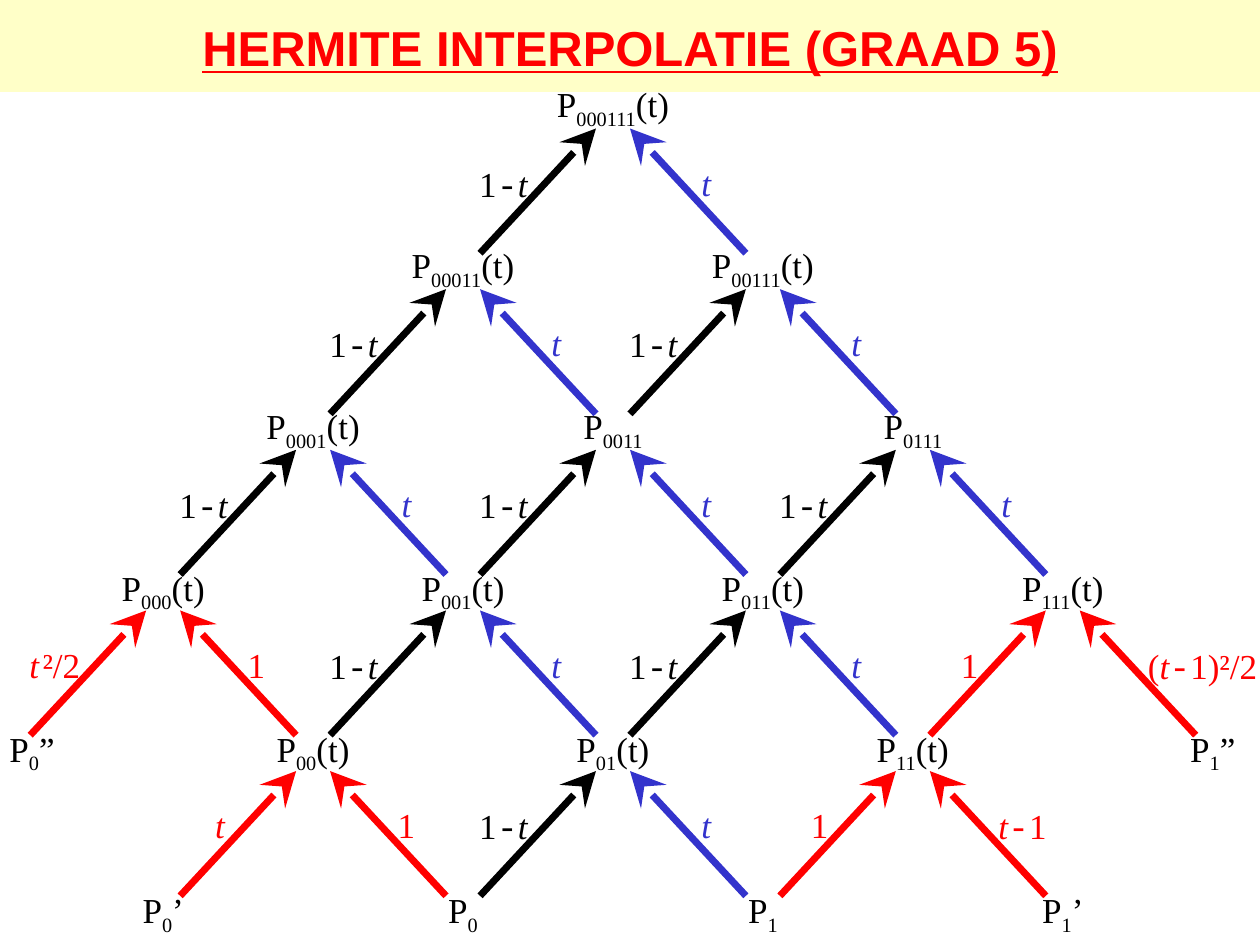
from lxml import etree
from pptx import Presentation
from pptx.dml.color import RGBColor
from pptx.enum.shapes import MSO_CONNECTOR, MSO_SHAPE
from pptx.enum.text import MSO_ANCHOR, MSO_AUTO_SIZE, PP_ALIGN
from pptx.oxml.ns import qn
from pptx.util import Inches, Pt

RECT, LINE = MSO_SHAPE.RECTANGLE, MSO_CONNECTOR.STRAIGHT
MIDDLE, CENTER = MSO_ANCHOR.MIDDLE, PP_ALIGN.CENTER
FIXED = MSO_AUTO_SIZE.NONE

CREAM = RGBColor(0xFF, 0xFF, 0xC8)
RED = RGBColor(0xFF, 0x00, 0x00)
BLUE = RGBColor(0x33, 0x33, 0xCC)
BLACK = RGBColor(0x00, 0x00, 0x00)

BASE = {"name": "Times New Roman", "size": Pt(20), "italic": False}
SLANT = {"italic": True}
MONO = {"name": "Courier New"}
HEAD = {"name": "Arial", "size": Pt(28), "bold": True, "underline": True}

# Points by level, top first: base letter | subscript | rest
NODES = [
    ["P|000111|(t)"],
    ["P|00011|(t)", "P|00111|(t)"],
    ["P|0001|(t)", "P|0011|", "P|0111|"],
    ["P|000|(t)", "P|001|(t)", "P|011|(t)", "P|111|(t)"],
    ["P|0|”", "P|00|(t)", "P|01|(t)", "P|11|(t)", "P|1|”"],
    [None, "P|0|’", "P|0|", "P|1|", "P|1|’", None],
]
NUDGE = {(4, 0): 0.15}  # keeps the leftmost point on the slide
TAILS = {"(t)": 0.26, "”": 0.12, "’": 0.09, "": 0}  # widths of the rest

# Weights: runs, box width, distance from the point above
WEIGHTS = {
    "1-t": ([("1", {}), ("-", MONO), ("t", SLANT)], 0.58, 0.87),
    "t-1": ([("t", SLANT), ("-", MONO), ("1", {})], 0.58, 0.87),
    "t": ([("t", SLANT)], 0.28, 0.74),
    "1": ([("1", {})], 0.34, 0.74),
    "t²/2": ([("t", SLANT), (" ", {"size": Pt(8)}), ("²/2", {})], 0.6, 0.86),
    "(t-1)²/2": ([("(", {}), ("t", SLANT), ("-", MONO), ("1)²/2", {})],
                 1.07, 1.11),
}
# Points whose two weights come from derivatives
ENDS = {(3, 0): ("t²/2", "1"), (3, 3): ("1", "(t-1)²/2"),
        (4, 1): ("t", "1"), (4, 3): ("1", "t-1")}
BARE = {(4, 0), (4, 4)}  # given values, nothing below them

STEP, PITCH, TALL = 2.38, 1.275, 0.43


def style(font, color, *formats):
    for fmt in formats:
        for key, val in fmt.items():
            setattr(font, key, val)
    font.color.rgb = color


def label(slide, mid, top, width, runs, color):
    """Centred one-line text; a run may lower its baseline."""
    box = slide.shapes.add_textbox(Inches(mid - width / 2), Inches(top),
                                   Inches(width), Inches(TALL))
    frame = box.text_frame
    frame.word_wrap, frame.auto_size = False, FIXED
    frame.margin_left = frame.margin_right = 0
    frame.vertical_anchor = MIDDLE
    par = frame.paragraphs[0]
    par.alignment = CENTER
    for text, fmt, *base in runs:
        run = par.add_run()
        run.text = text
        style(run.font, color, BASE, fmt)
        if base:
            run.font._element.set("baseline", str(base[0]))


def node(slide, mid, top, code):
    stem, sub, rest = code.split("|")
    runs = [(stem, {}), (sub, {}, -25000)]
    if rest:
        runs.append((rest, {}))
    label(slide, mid, top, 0.36 + 0.09 * len(sub) + TAILS[rest], runs, BLACK)


def arrow(slide, start, end, color):
    line = slide.shapes.add_connector(LINE, *map(Inches, start + end))
    line.line.color.rgb = color
    line.line.width = Pt(4)
    etree.SubElement(line.line._get_or_add_ln(), qn("a:tailEnd"),
                     type="stealth", w="lg", len="lg")
    etree.SubElement(line._element.spPr, qn("a:effectLst"))


def branch(slide, mid, tip, side, weight, color):
    """Arrow up to the point at mid, from its left (-1) or right (1)."""
    arrow(slide, (mid + side * 1.055, tip + 0.99),
          (mid + side * 0.135, tip), color)
    runs, width, gap = WEIGHTS[weight]
    drop = 0.21 if weight in ("t", "1", "t²/2") else 0.22
    label(slide, mid + side * gap, tip + drop, width, runs, color)


def lattice(slide, mid, top):
    """Triangle of points, its top point centred on mid."""
    for row, codes in enumerate(NODES):
        for col, code in enumerate(codes):
            if code is None:
                continue
            x = mid + STEP * (col - row / 2)
            y = top + PITCH * row
            spot = (row, col)
            # Lower points sit slightly further below their arrows
            node(slide, x + NUDGE.get(spot, 0), y + row * 0.004, code)
            if row == len(NODES) - 1 or spot in BARE:
                continue
            pair = ENDS.get(spot, ("1-t", "t"))
            hues = (RED, RED) if spot in ENDS else (BLACK, BLUE)
            for side, weight, hue in zip((-1, 1), pair, hues):
                branch(slide, x, y + 0.39, side, weight, hue)


def header(slide, width, height):
    # Band behind the title
    band = slide.shapes.add_shape(RECT, 0, 0, Inches(width), Inches(0.73))
    band.shadow.inherit = False
    band.fill.solid()
    band.fill.fore_color.rgb = CREAM
    band.line.fill.background()
    title = slide.shapes.title
    title._element.addprevious(band._element)
    # Title
    title.left, title.top = 0, 0
    title.width, title.height = Inches(width), Inches(height)
    frame = title.text_frame
    frame.text = "HERMITE INTERPOLATIE (GRAAD 5)"
    frame.auto_size, frame.vertical_anchor = FIXED, MIDDLE
    par = frame.paragraphs[0]
    par.alignment = CENTER
    style(par.runs[0].font, RED, HEAD)


def main():
    deck = Presentation()
    deck.slide_width, deck.slide_height = Inches(10), Inches(7.5)
    slide = deck.slides.add_slide(deck.slide_layouts[5])
    header(slide, 10, 0.75)
    lattice(slide, 4.865, 0.63)
    deck.save("out.pptx")


if __name__ == "__main__":
    main()
